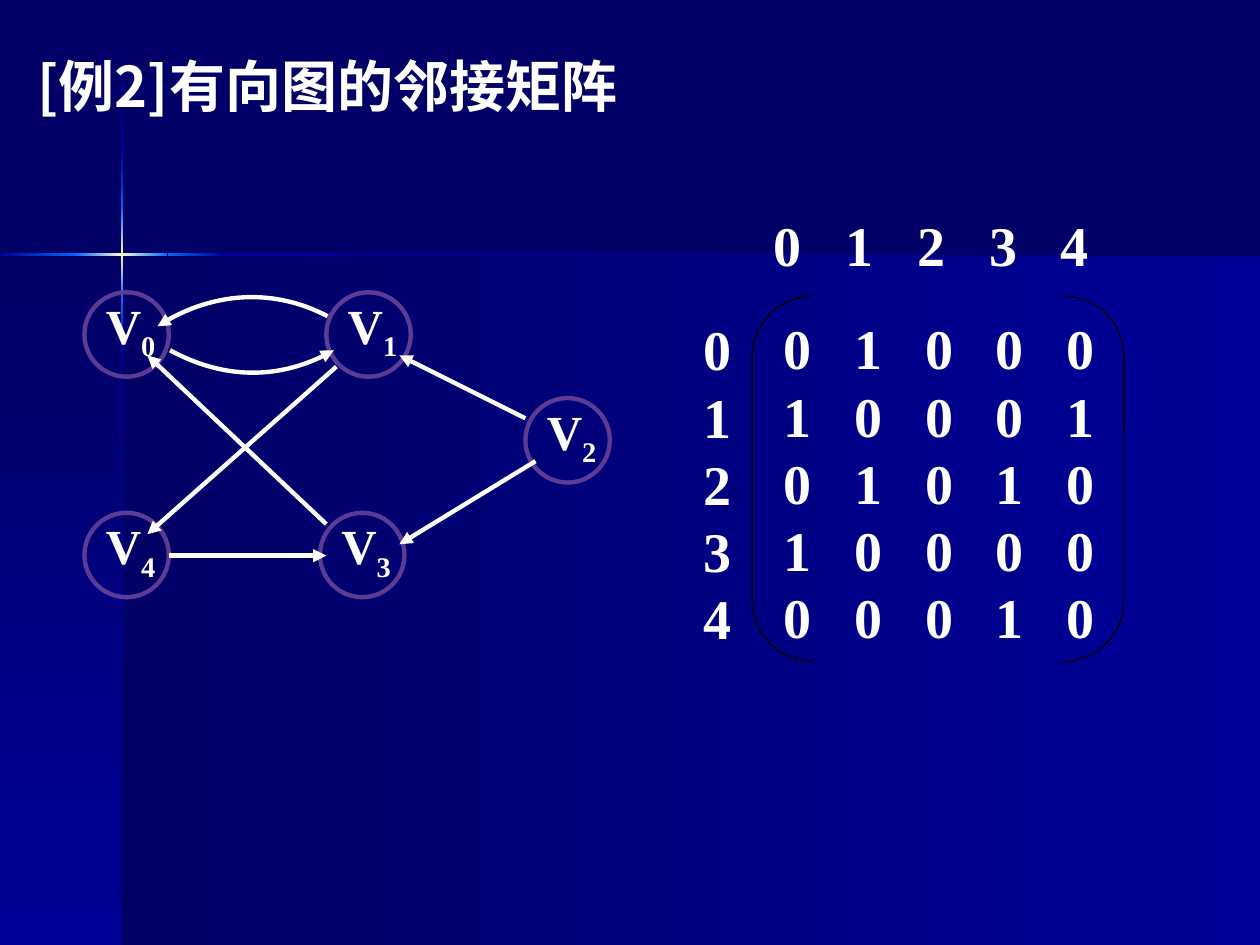
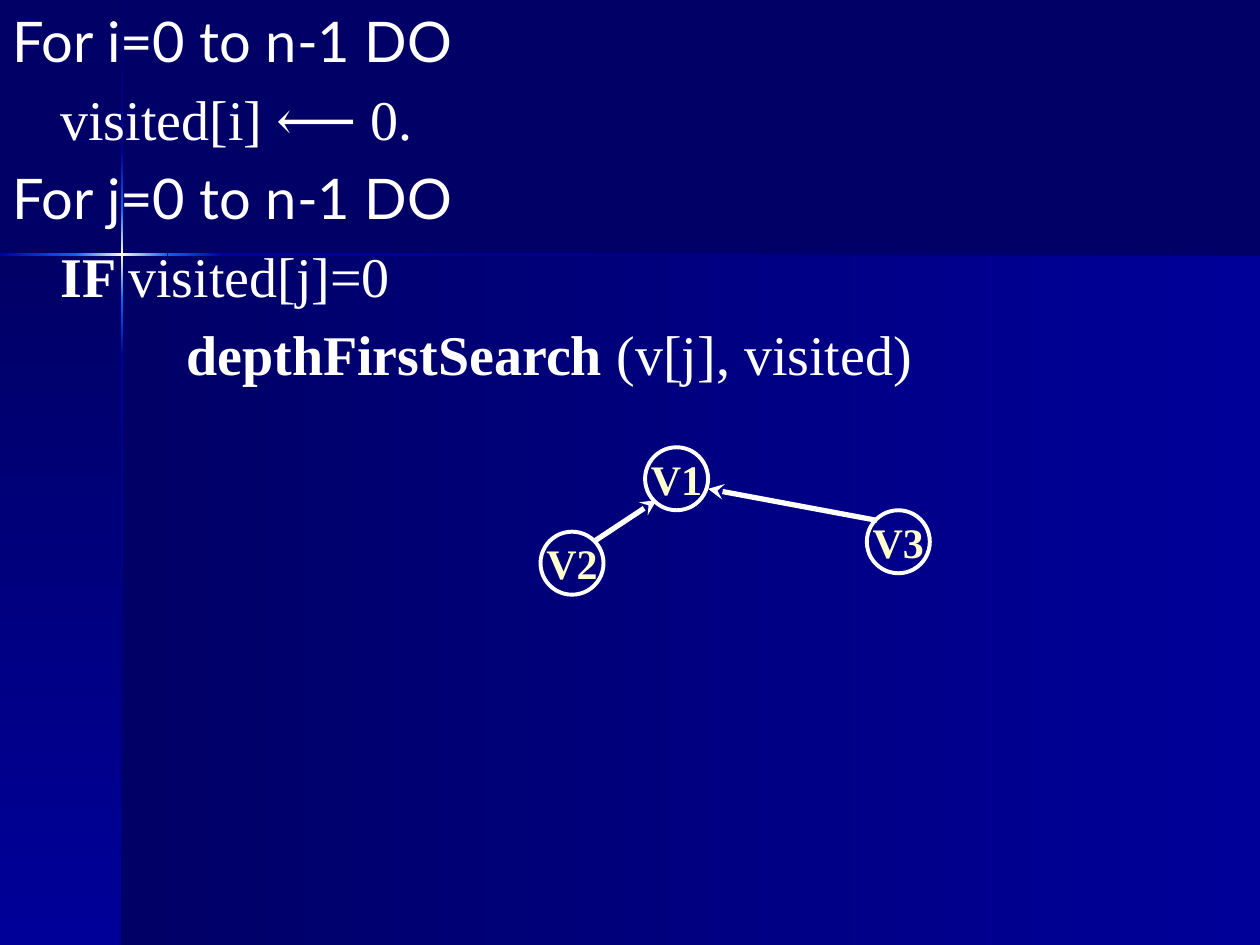
from dataclasses import dataclass

import lxml.etree
import pptx
import pptx.dml.color
import pptx.enum.shapes
import pptx.enum.text
import pptx.oxml.ns
import pptx.util

Inches = pptx.util.Inches
Points = pptx.util.Pt
Preset = pptx.enum.shapes.MSO_SHAPE
Align = pptx.enum.text.PP_ALIGN
Anchor = pptx.enum.text.MSO_ANCHOR
qn = pptx.oxml.ns.qn

NAVY, BLUE, GLOW, CREAM = "000066", "000099", "0066FF", "FFFFCC"
WHITE, BLACK, PURPLE = "FFFFFF", "000000", "5D3B95"
SERIF, SANS, CHINESE = "Times New Roman", "Lato", "Noto Sans CJK SC"
LINE_HEIGHT = 1.2


@dataclass(frozen=True)
class Band:
    left: float
    top: float
    width: float
    height: float
    colors: tuple[str, ...]
    vertical: bool = False


@dataclass(frozen=True)
class Node:
    name: str
    left: float
    top: float


@dataclass(frozen=True)
class Edge:
    start: tuple[float, float]
    end: tuple[float, float]


@dataclass(frozen=True)
class Span:
    text: str
    bold: bool = False


@dataclass(frozen=True)
class CodeLine:
    spans: tuple[Span, ...]
    font: str = SERIF
    indent: float = 0


# Two panels, then the cross of light that separates them
BANDS = [
    Band(0.97, 2.02, 9.03, 5.48, (NAVY, BLUE)),
    Band(0, 2.02, 0.97, 5.48, (NAVY, BLUE), True),
    Band(0.96, 0.01, 0.02, 1.21, (NAVY, BLUE), True),
    Band(0.96, 2.82, 0.02, 4.68, (BLUE, NAVY), True),
    Band(1.77, 2.01, 8.23, 0.02, (BLUE, NAVY)),
    Band(0.96, 2.38, 0.02, 0.44, (GLOW, BLUE), True),
    Band(0.96, 1.21, 0.02, 0.44, (BLUE, GLOW), True),
    Band(0.96, 1.65, 0.02, 0.73, (GLOW, CREAM, GLOW), True),
    Band(0, 2.01, 0.61, 0.02, (BLUE, GLOW)),
    Band(1.33, 2.01, 0.44, 0.02, (GLOW, BLUE)),
    Band(0.6, 2.01, 0.73, 0.02, (GLOW, CREAM, GLOW)),
]

# Directed graph and its adjacency matrix
GRAPH_NODES = [
    Node("0", 0.67, 2.32),
    Node("3", 2.54, 4.07),
    Node("4", 0.67, 4.07),
    Node("1", 2.59, 2.32),
    Node("2", 4.17, 3.16),
]
GRAPH_EDGES = [
    Edge((4.17, 3.32), (3.17, 2.82)),
    Edge((4.25, 3.66), (3.17, 4.32)),
    Edge((1.34, 4.41), (2.59, 4.41)),
    Edge((2.67, 2.91), (1.17, 4.24)),
    Edge((2.59, 4.16), (1.17, 2.82)),
]
CURVES = [
    [(1.35, 2.78), (1.77, 3.01), (2.26, 3.01), (2.65, 2.78)],
    [(2.6, 2.51), (2.18, 2.29), (1.66, 2.32), (1.25, 2.59)],
]
MATRIX = ["01000", "10001", "01010", "10000", "00010"]
INDICES = "01234"

# Traversal of every vertex
CODE_LINES = [
    CodeLine((Span("For i=0 to n-1 DO"),), SANS),
    CodeLine((Span("visited[i] ⟵ 0."),), indent=0.38),
    CodeLine((Span("For j=0 to n-1 DO"),), SANS),
    CodeLine((Span("IF ", True), Span("visited[j]=0")), indent=0.38),
    CodeLine((Span("depthFirstSearch ", True), Span("(v[j], visited)")), indent=1.38),
]
SEARCH_NODES = [Node("V1", 5.12, 3.55), Node("V2", 4.29, 4.22), Node("V3", 6.88, 4.05)]
SEARCH_EDGES = [Edge((4.71, 4.3), (5.21, 3.97)), Edge((6.96, 4.13), (5.62, 3.88))]


def color(value: str) -> pptx.dml.color.RGBColor:
    return pptx.dml.color.RGBColor.from_string(value)


def add_span(para, text: str, *, size: float = 32, font: str = SERIF, ink: str = WHITE,
             bold: bool = True, baseline: int = 0) -> None:
    """Append formatted text to a paragraph."""
    span = para.add_run()
    span.text = text
    span.font.size = Points(size)
    span.font.name = font
    span.font.bold = bold
    span.font.color.rgb = color(ink)
    properties = span.font._element
    lxml.etree.SubElement(properties, qn("a:ea"), typeface=font)
    if baseline:
        properties.set("baseline", str(baseline * 1000))


def format_paragraph(para, *, size: float = 32, indent: float = 0, align=Align.LEFT) -> None:
    para.alignment = align
    para.line_spacing = Points(LINE_HEIGHT * size)
    para._p.get_or_add_pPr().set("marL", str(Inches(indent)))


def set_tabs(para, pitch: float, count: int) -> None:
    tabs = lxml.etree.SubElement(para._p.get_or_add_pPr(), qn("a:tabLst"))
    for number in range(1, count):
        lxml.etree.SubElement(tabs, qn("a:tab"), pos=str(Inches(pitch * number)), algn="l")


def paragraphs(frame, count: int) -> list:
    return [frame.paragraphs[0]] + [frame.add_paragraph() for _ in range(count - 1)]


def set_insets(frame, left: float = 0) -> None:
    frame.margin_left = Inches(left)
    frame.margin_top = frame.margin_right = frame.margin_bottom = 0


def add_box(page, left: float, top: float, width: float, height: float, inset: bool = False):
    box = page.shapes.add_textbox(Inches(left), Inches(top), Inches(width), Inches(height))
    frame = box.text_frame
    frame.word_wrap = True
    if not inset:
        set_insets(frame)
    return frame


def add_outline(page, preset, left: float, top: float, width: float, height: float,
                line: str, weight: float):
    """Add an unfilled preset shape."""
    shape = page.shapes.add_shape(
        preset, Inches(left), Inches(top), Inches(width), Inches(height))
    shape.shadow.inherit = False
    shape.fill.background()
    shape.line.color.rgb = color(line)
    shape.line.width = Points(weight)
    return shape


def style_arrow(shape, weight: float, head: str) -> None:
    shape.line.color.rgb = color(WHITE)
    shape.line.width = Points(weight)
    lxml.etree.SubElement(shape.line._get_or_add_ln(), qn("a:tailEnd"), type=head)


def add_arrow(page, edge: Edge, weight: float, head: str) -> None:
    ends = [Inches(value) for value in edge.start + edge.end]
    arrow = page.shapes.add_connector(pptx.enum.shapes.MSO_CONNECTOR.STRAIGHT, *ends)
    style_arrow(arrow, weight, head)
    lxml.etree.SubElement(arrow._element.spPr, qn("a:effectLst"))


def add_curve(page, points: list[tuple[float, float]]) -> None:
    """Draw one cubic curve with an arrowhead at its end."""
    corners = [(Inches(x), Inches(y)) for x, y in points]
    builder = page.shapes.build_freeform(*corners[0])
    builder.add_line_segments(corners[1:], close=False)
    curve = builder.convert_to_shape()
    curve.shadow.inherit = False
    curve.fill.background()
    segments = list(curve._element.iter(qn("a:lnTo")))
    outline = segments[0].getparent()
    cubic = lxml.etree.SubElement(outline, qn("a:cubicBezTo"))
    for segment in segments:
        cubic.append(segment[0])
        outline.remove(segment)
    style_arrow(curve, 2.5, "triangle")


def add_band(page, band: Band) -> None:
    shape = page.shapes.add_shape(Preset.RECTANGLE, Inches(band.left), Inches(band.top),
                                  Inches(band.width), Inches(band.height))
    shape.shadow.inherit = False
    shape.line.fill.background()
    shape.fill.gradient()
    shape.fill.gradient_angle = 270 if band.vertical else 0
    stops = next(shape._element.iter(qn("a:gsLst")))
    for stop in list(stops):
        stops.remove(stop)
    for index, value in enumerate(band.colors):
        position = 100000 * index // (len(band.colors) - 1)
        stop = lxml.etree.SubElement(stops, qn("a:gs"), pos=str(position))
        lxml.etree.SubElement(stop, qn("a:srgbClr"), val=value)


def add_page(deck):
    page = deck.slides.add_slide(deck.slide_layouts[6])
    for band in BANDS:
        add_band(page, band)
    return page


def add_digits(para, digits: str, pitch: float) -> None:
    set_tabs(para, pitch, len(digits))
    format_paragraph(para)
    add_span(para, "\t".join(digits))


def build_matrix_page(deck) -> None:
    page = add_page(deck)

    # Title
    title = add_box(page, 0, 0.33, 10, 7.5, inset=True).paragraphs[0]
    format_paragraph(title, size=34, indent=0.2)
    add_span(title, "[例2]有向图的邻接矩阵", font=CHINESE)

    # Graph
    for node in GRAPH_NODES:
        label = add_box(page, node.left + 0.17, node.top + 0.09, 0.5, 0.6).paragraphs[0]
        format_paragraph(label, size=28)
        add_span(label, "V", size=28)
        add_span(label, node.name, size=28, baseline=-25)
        add_outline(page, Preset.OVAL, node.left, node.top, 0.67, 0.67, PURPLE, 2.5)
    for edge in GRAPH_EDGES:
        add_arrow(page, edge, 2.5, "triangle")
    for points in CURVES:
        add_curve(page, points)

    # Row numbers
    row_frame = add_box(page, 5.42, 2.5, 0.55, 2.3)
    for para, index in zip(paragraphs(row_frame, len(INDICES)), INDICES):
        format_paragraph(para, align=Align.CENTER)
        add_span(para, index)

    # Matrix in brackets
    bracket = add_outline(page, Preset.DOUBLE_BRACKET, 5.97, 2.35, 2.95, 2.9, BLACK, 0.75)
    bracket.adjustments[0] = 0.167
    frame = bracket.text_frame
    frame.word_wrap = True
    frame.vertical_anchor = Anchor.TOP
    set_insets(frame, left=0.11)
    for para, digits in zip(paragraphs(frame, len(MATRIX)), MATRIX):
        add_digits(para, digits, 0.56)

    # Column numbers
    add_digits(add_box(page, 6.14, 1.67, 2.61, 0.69).paragraphs[0], INDICES, 0.57)


def build_search_page(deck) -> None:
    page = add_page(deck)

    # Pseudocode
    frame = add_box(page, 0, 0, 10, 7.5, inset=True)
    for number, para in enumerate(paragraphs(frame, len(CODE_LINES))):
        line = CODE_LINES[number]
        format_paragraph(para, indent=line.indent)
        if number:
            para.space_before = Points(6.4)
        for span in line.spans:
            add_span(para, span.text, font=line.font, bold=span.bold)

    # Graph
    for node in SEARCH_NODES:
        circle = add_outline(page, Preset.FLOWCHART_CONNECTOR, node.left, node.top,
                             0.5, 0.5, WHITE, 2.25)
        circle.text_frame.word_wrap = False
        circle.text_frame.vertical_anchor = Anchor.MIDDLE
        label = circle.text_frame.paragraphs[0]
        format_paragraph(label, size=24, align=Align.CENTER)
        add_span(label, node.name, size=24, ink=CREAM)
    for edge in SEARCH_EDGES:
        add_arrow(page, edge, 3, "stealth")


def main() -> None:
    deck = pptx.Presentation()
    deck.slide_width, deck.slide_height = Inches(10), Inches(7.5)
    backdrop = deck.slide_master.background.fill
    backdrop.solid()
    backdrop.fore_color.rgb = color(NAVY)
    build_matrix_page(deck)
    build_search_page(deck)
    deck.save("out.pptx")


if __name__ == "__main__":
    main()
